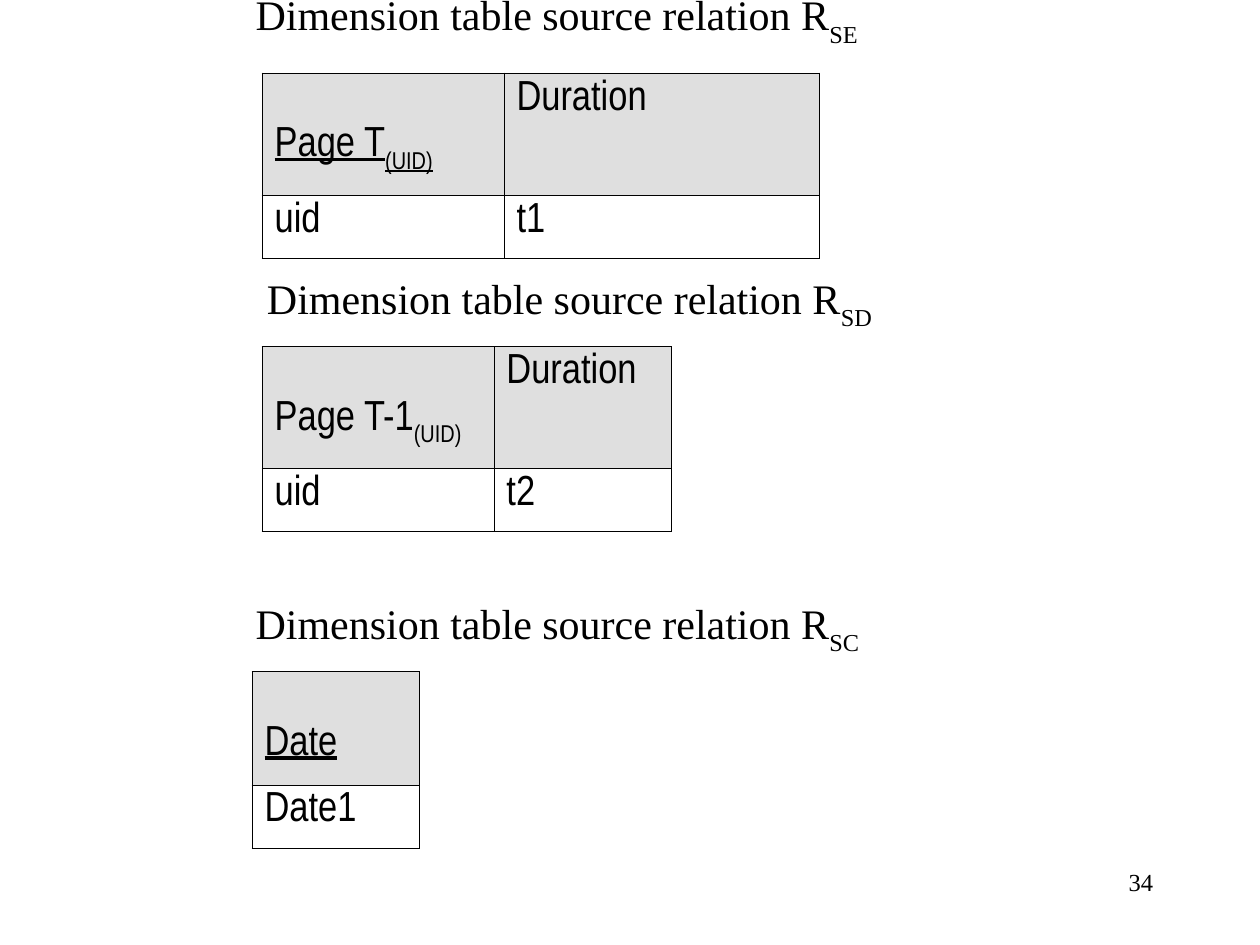
from dataclasses import dataclass

from lxml.etree import SubElement
from pptx import Presentation
from pptx.dml.color import RGBColor
from pptx.enum.text import MSO_ANCHOR, PP_ALIGN
from pptx.oxml.ns import qn
from pptx.util import Inches, Pt


@dataclass(frozen=True)
class Theme:
    ink: str = "000000"
    header: str = "DFDFDF"
    serif: str = "Times New Roman"
    narrow: str = "Arial Narrow"
    body_size: float = 24
    number_size: float = 14
    border: float = 0.45


THEME = Theme()
BODY_ROW = 0.5
HEADER_DROP = 0.42  # top margin that sets key names one line lower


def write(frame, text, sub="", font=THEME.serif, size=THEME.body_size,
          underline=False, align=PP_ALIGN.LEFT):
    """Write one paragraph, with an optional subscript after the text."""
    paragraph = frame.paragraphs[0]
    paragraph.alignment = align
    for part, baseline in ((text, None), (sub, "-30000")):
        if not part:
            continue
        run = paragraph.add_run()
        run.text = part
        run.font.name = font
        run.font.size = Pt(size)
        run.font.underline = underline
        run.font.color.rgb = RGBColor.from_string(THEME.ink)
        if baseline:
            run.font._element.set("baseline", baseline)


def outline(cell):
    properties = cell._tc.get_or_add_tcPr()
    for position, side in enumerate(("a:lnL", "a:lnR", "a:lnT", "a:lnB")):
        line = properties.makeelement(qn(side), {"w": str(Pt(THEME.border))})
        fill = SubElement(line, qn("a:solidFill"))
        SubElement(fill, qn("a:srgbClr"), val=THEME.ink)
        properties.insert(position, line)


def add_caption(slide, left, top, width, subscript):
    box = slide.shapes.add_textbox(Inches(left), Inches(top), Inches(width), Inches(0.57))
    frame = box.text_frame
    frame.word_wrap = False
    frame.vertical_anchor = MSO_ANCHOR.MIDDLE
    write(frame, "Dimension table source relation R", subscript)


def add_relation(slide, left, top, widths, header_height, key, attributes, values):
    """Draw a relation: key is a dict of its name's format, then plain columns."""
    headers = [key] + [{"text": name} for name in attributes]
    table = slide.shapes.add_table(
        2, len(widths), Inches(left), Inches(top),
        Inches(sum(widths)), Inches(header_height + BODY_ROW)).table
    table.first_row = table.horz_banding = False
    for column, width in zip(table.columns, widths):
        column.width = Inches(width)
    for row, height in zip(table.rows, (header_height, BODY_ROW)):
        row.height = Inches(height)

    for index, (header, value) in enumerate(zip(headers, values)):
        name_cell, value_cell = table.cell(0, index), table.cell(1, index)
        name_cell.fill.solid()
        name_cell.fill.fore_color.rgb = RGBColor.from_string(THEME.header)
        value_cell.fill.background()
        if index == 0:
            name_cell.margin_top = Inches(HEADER_DROP)
        write(name_cell.text_frame, font=THEME.narrow, **header)
        write(value_cell.text_frame, value, font=THEME.narrow)
        outline(name_cell)
        outline(value_cell)


def add_page_number(slide, left, top, width, height, number):
    box = slide.shapes.add_textbox(Inches(left), Inches(top), Inches(width), Inches(height))
    box.text_frame.word_wrap = True
    write(box.text_frame, number, size=THEME.number_size, align=PP_ALIGN.RIGHT)


def main():
    deck = Presentation()
    deck.slide_width, deck.slide_height = Inches(10), Inches(7.5)
    slide = deck.slides.add_slide(deck.slide_layouts[6])

    add_caption(slide, 1.93, -0.14, 4.98, "SE")
    add_relation(slide, 2.08, 0.58, (1.92, 2.5), 0.97,
                 {"text": "Page T", "sub": "(UID)", "underline": True},
                 ["Duration"], ["uid", "t1"])

    add_caption(slide, 2.02, 2.11, 5, "SD")
    add_relation(slide, 2.08, 2.75, (1.84, 1.41), 0.97,
                 {"text": "Page T-1", "sub": "(UID)"},
                 ["Duration"], ["uid", "t2"])

    add_caption(slide, 1.93, 4.69, 4.99, "SC")
    add_relation(slide, 2, 5.33, (1.33,), 0.9,
                 {"text": "Date", "underline": True}, [], ["Date1"])

    add_page_number(slide, 7.17, 6.83, 2.08, 0.5, "34")
    deck.save("out.pptx")


if __name__ == "__main__":
    main()
